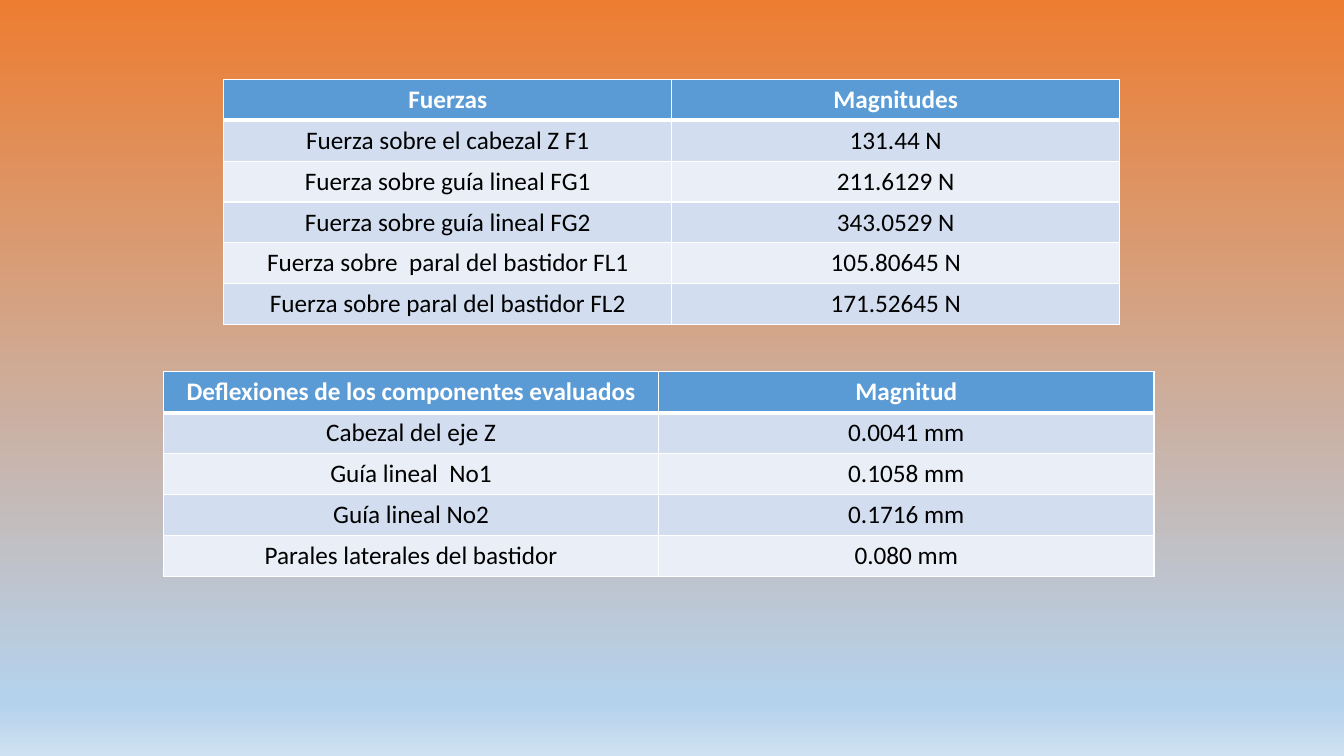
from lxml.etree import SubElement as Sub
from pptx import Presentation
from pptx.dml.color import RGBColor as RGB
from pptx.enum.text import PP_ALIGN as Align
from pptx.oxml.ns import qn
from pptx.util import Cm, Pt

WHITE = RGB(0xFF, 0xFF, 0xFF)
BLACK = RGB(0x00, 0x00, 0x00)
BLUE = RGB(0x5B, 0x9B, 0xD5)
BAND = RGB(0xD2, 0xDE, 0xEF)
PALE = RGB(0xEA, 0xEF, 0xF7)
ORANGE = RGB(0xED, 0x7D, 0x31)
SKY = RGB(0xB5, 0xD2, 0xEC)
MIST = RGB(0xCE, 0xE1, 0xF2)

FONT = "Calibri"
ROW = Cm(1.03)
STOPS = [(0, ORANGE), (92, SKY), (93, SKY), (100, MIST)]

FORCES = [
    ("Fuerzas", "Magnitudes"),
    ("Fuerza sobre el cabezal Z F1", "131.44 N"),
    ("Fuerza sobre guía lineal FG1", "211.6129 N"),
    ("Fuerza sobre guía lineal FG2", "343.0529 N"),
    ("Fuerza sobre  paral del bastidor FL1", "105.80645 N"),
    ("Fuerza sobre paral del bastidor FL2", "171.52645 N"),
]
BENDS = [
    ("Deflexiones de los componentes evaluados", "Magnitud"),
    ("Cabezal del eje Z", "0.0041 mm"),
    ("Guía lineal  No1", "0.1058 mm"),
    ("Guía lineal No2", "0.1716 mm"),
    ("Parales laterales del bastidor", "0.080 mm"),
]


def add_back(slide):
    """Fill the slide with a vertical gradient."""
    fill = slide.background.fill
    fill.gradient()
    fill.gradient_angle = 270
    stops = slide.element.find(".//" + qn("a:gsLst"))
    for stop in list(stops):
        stops.remove(stop)
    for place, color in STOPS:
        stop = Sub(stops, qn("a:gs"), pos=str(place * 1000))
        Sub(stop, qn("a:srgbClr"), val=str(color))


def add_edges(cell, row):
    """Draw white borders, thick below the header."""
    props = cell._tc.get_or_add_tcPr()
    widths = {"L": 1, "R": 1, "T": 3 if row == 1 else 1, "B": 3 if row == 0 else 1}
    for side, width in widths.items():
        line = Sub(props, qn("a:ln" + side), w=str(Pt(width)))
        paint = Sub(line, qn("a:solidFill"))
        Sub(paint, qn("a:srgbClr"), val=str(WHITE))


def fill_cell(cell, text, row):
    """Style one cell by its row and write its text."""
    head = row == 0
    add_edges(cell, row)
    cell.fill.solid()
    cell.fill.fore_color.rgb = BLUE if head else BAND if row % 2 else PALE
    para = cell.text_frame.paragraphs[0]
    para.alignment = Align.CENTER
    run = para.add_run()
    run.text = text
    run.font.name = FONT
    run.font.size = Pt(18)
    run.font.bold = head
    run.font.color.rgb = WHITE if head else BLACK


def add_grid(slide, data, left, top, width):
    """Place a table with equal columns in the given box."""
    count = len(data[0])
    frame = slide.shapes.add_table(len(data), count, left, top, width, ROW * len(data))
    table = frame.table
    for col in table.columns:
        col.width = width // count
    for row, texts in enumerate(data):
        table.rows[row].height = ROW
        for col, text in enumerate(texts):
            fill_cell(table.cell(row, col), text, row)


def main():
    deck = Presentation()
    deck.slide_width, deck.slide_height = Cm(33.87), Cm(19.05)
    slide = deck.slides.add_slide(deck.slide_layouts[6])
    add_back(slide)
    # Forces above, deflections below
    add_grid(slide, FORCES, Cm(5.64), Cm(2), Cm(22.58))
    add_grid(slide, BENDS, Cm(4.12), Cm(9.37), Cm(24.96))
    deck.save("out.pptx")


if __name__ == "__main__":
    main()
